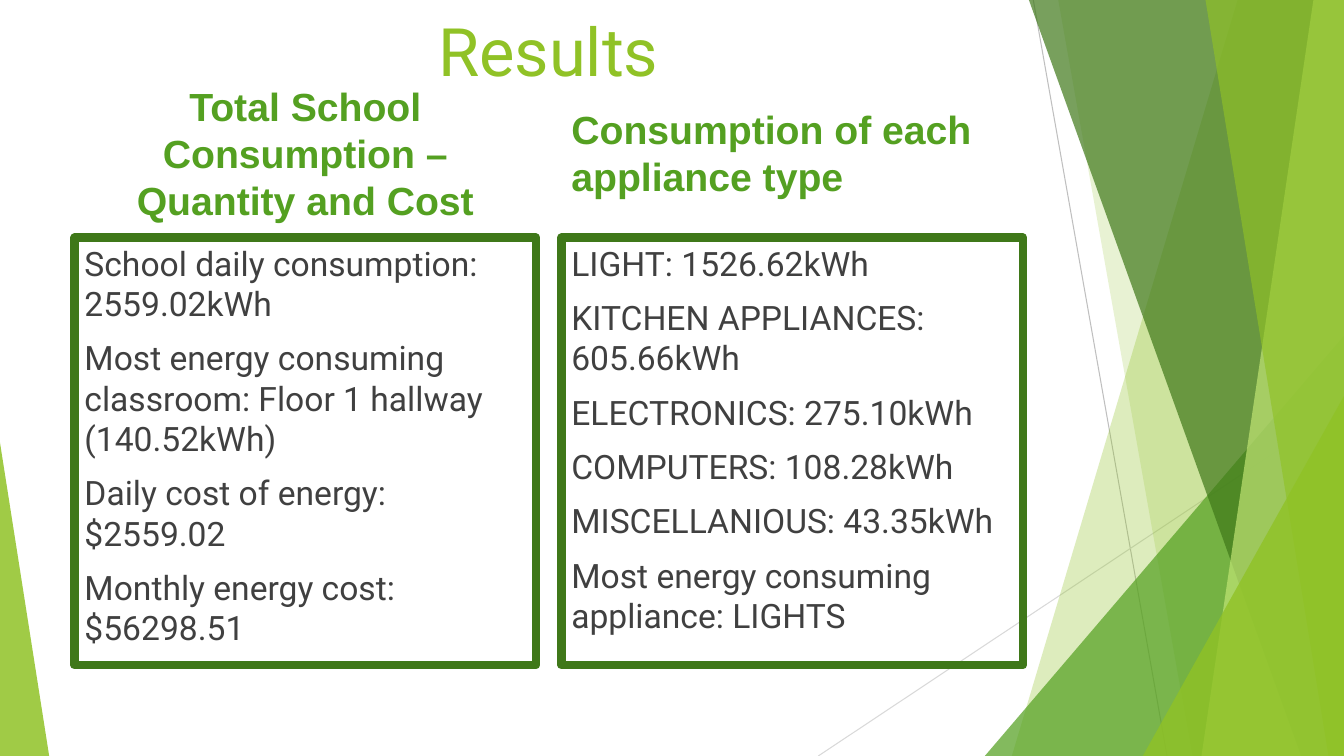
from dataclasses import dataclass

from pptx import Presentation
from pptx.dml.color import RGBColor
from pptx.enum import shapes, text
from pptx.oxml import ns, xmlchemy
from pptx.util import Cm, Pt

SLIDE_WIDTH, SLIDE_HEIGHT = 33.87, 19.05


@dataclass(frozen=True)
class Theme:
    lime: str = "90C226"
    pale_lime: str = "C0E474"
    green: str = "54A021"
    dark_green: str = "3F7819"
    body_color: str = "404040"
    body_font: str = "Roboto"
    heading_font: str = "Arial"
    title_size: float = 47.7
    heading_size: float = 28
    body_size: float = 24
    paragraph_gap: float = 10
    frame_width: float = 6
    hairline: float = 0.75


THEME = Theme()


@dataclass(frozen=True)
class Ray:
    start: tuple[float, float]
    end: tuple[float, float]
    color: str


@dataclass(frozen=True)
class Facet:
    """A full-height pane whose slanted left edge runs from top_x to bottom_x."""
    top_x: float
    bottom_x: float
    color: str
    opacity: int


@dataclass(frozen=True)
class Corner:
    """A right triangle standing on the bottom edge; peak is 0 (left) or 1 (right)."""
    left: float
    top: float
    width: float
    peak: int
    color: str
    opacity: int


@dataclass(frozen=True)
class Column:
    left: float
    heading: str
    heading_height: float
    heading_align: text.PP_ALIGN
    results: tuple[str, ...]


RAYS = (
    Ray((26.04, 0), (29.41, SLIDE_HEIGHT), "BFBFBF"),
    Ray((SLIDE_WIDTH, 10.24), (20.62, SLIDE_HEIGHT), "D9D9D9"),
)
PANES = (
    Facet(31.19, 25.5, THEME.lime, 30),
    Facet(26.67, 30.05, THEME.lime, 20),
    Corner(24.82, 8.46, 9.05, 1, THEME.green, 72),
    Facet(25.93, 32.79, THEME.dark_green, 70),
    Facet(33.1, 30.28, THEME.pale_lime, 70),
    Facet(30.38, 33.48, THEME.lime, 65),
    Corner(28.8, 9.98, 5.07, 1, THEME.lime, 80),
    Corner(0, 11.15, 1.24, 0, THEME.lime, 85),
)
COLUMN_WIDTH = 11.63
HEADING_MIDDLE = 3.86
RESULTS_TOP, RESULTS_HEIGHT = 5.99, 10.77
COLUMNS = (
    Column(1.88, "Total School Consumption – Quantity and Cost", 3.84, text.PP_ALIGN.CENTER, (
        "School daily consumption: 2559.02kWh",
        "Most energy consuming classroom: Floor 1 hallway (140.52kWh)",
        "Daily cost of energy: $2559.02",
        "Monthly energy cost: $56298.51",
    )),
    Column(14.15, "Consumption of each appliance type", 2.64, text.PP_ALIGN.LEFT, (
        "LIGHT: 1526.62kWh",
        "KITCHEN APPLIANCES: 605.66kWh",
        "ELECTRONICS: 275.10kWh",
        "COMPUTERS: 108.28kWh",
        "MISCELLANIOUS: 43.35kWh",
        "Most energy consuming appliance: LIGHTS",
    )),
)


def style_runs(paragraph, font: str, size: float, color: str, bold: bool = False) -> None:
    for run in paragraph.runs:
        run.font.name = font
        run.font.size = Pt(size)
        run.font.bold = bold
        run.font.color.rgb = RGBColor.from_string(color)


def draw_ray(slide, ray: Ray) -> None:
    line = slide.shapes.add_connector(
        shapes.MSO_CONNECTOR.STRAIGHT, *map(Cm, ray.start + ray.end))
    line.line.color.rgb = RGBColor.from_string(ray.color)
    line.line.width = Pt(THEME.hairline)
    line._element.spPr.append(xmlchemy.OxmlElement("a:effectLst"))


def draw_pane(slide, pane: Facet | Corner) -> None:
    if isinstance(pane, Facet):
        builder = slide.shapes.build_freeform(Cm(pane.top_x), 0)
        outline = ((SLIDE_WIDTH, 0), (SLIDE_WIDTH, SLIDE_HEIGHT), (pane.bottom_x, SLIDE_HEIGHT))
        builder.add_line_segments([(Cm(x), Cm(y)) for x, y in outline], close=True)
        shape = builder.convert_to_shape()
    else:
        shape = slide.shapes.add_shape(
            shapes.MSO_SHAPE.ISOSCELES_TRIANGLE, Cm(pane.left), Cm(pane.top),
            Cm(pane.width), Cm(SLIDE_HEIGHT - pane.top))
        shape.adjustments[0] = pane.peak
    shape.shadow.inherit = False
    shape.line.fill.background()
    shape.fill.solid()
    shape.fill.fore_color.rgb = RGBColor.from_string(pane.color)
    alpha = xmlchemy.OxmlElement("a:alpha")
    alpha.set("val", str(pane.opacity * 1000))
    shape._element.spPr.find(f".//{ns.qn('a:srgbClr')}").append(alpha)


def draw_title(slide) -> None:
    title = slide.shapes.title
    title.left, title.top, title.width, title.height = map(Cm, (1.88, 0.13, 23.88, 1.6))
    frame = title.text_frame
    frame.text = "Results"
    frame.auto_size = text.MSO_AUTO_SIZE.NONE
    frame.vertical_anchor = text.MSO_ANCHOR.TOP
    frame.paragraphs[0].alignment = text.PP_ALIGN.CENTER
    style_runs(frame.paragraphs[0], THEME.body_font, THEME.title_size, THEME.lime)


def draw_heading(slide, column: Column) -> None:
    heading = slide.shapes.add_textbox(
        Cm(column.left), Cm(HEADING_MIDDLE - column.heading_height / 2),
        Cm(COLUMN_WIDTH), Cm(column.heading_height))
    frame = heading.text_frame
    frame.word_wrap = True
    frame.text = column.heading
    frame.paragraphs[0].alignment = column.heading_align
    style_runs(frame.paragraphs[0], THEME.heading_font, THEME.heading_size, THEME.green, bold=True)


def draw_results(slide, column: Column) -> None:
    box = slide.shapes.add_shape(
        shapes.MSO_SHAPE.RECTANGLE, Cm(column.left), Cm(RESULTS_TOP),
        Cm(COLUMN_WIDTH), Cm(RESULTS_HEIGHT))
    box.shadow.inherit = False
    box.fill.background()
    box.line.color.rgb = RGBColor.from_string(THEME.dark_green)
    box.line.width = Pt(THEME.frame_width)
    frame = box.text_frame
    frame.word_wrap = True
    frame.vertical_anchor = text.MSO_ANCHOR.TOP
    frame.text = "\n".join(column.results)
    for index, result in enumerate(frame.paragraphs):
        result.alignment = text.PP_ALIGN.LEFT
        if index:
            result.space_before = Pt(THEME.paragraph_gap)
        style_runs(result, THEME.body_font, THEME.body_size, THEME.body_color)


def main() -> None:
    deck = Presentation()
    deck.slide_width, deck.slide_height = Cm(SLIDE_WIDTH), Cm(SLIDE_HEIGHT)
    slide = deck.slides.add_slide(deck.slide_layouts.get_by_name("Title Only"))
    for ray in RAYS:
        draw_ray(slide, ray)
    for pane in PANES:
        draw_pane(slide, pane)
    draw_title(slide)
    for column in COLUMNS:
        draw_results(slide, column)
        draw_heading(slide, column)
    deck.save("out.pptx")


if __name__ == "__main__":
    main()
